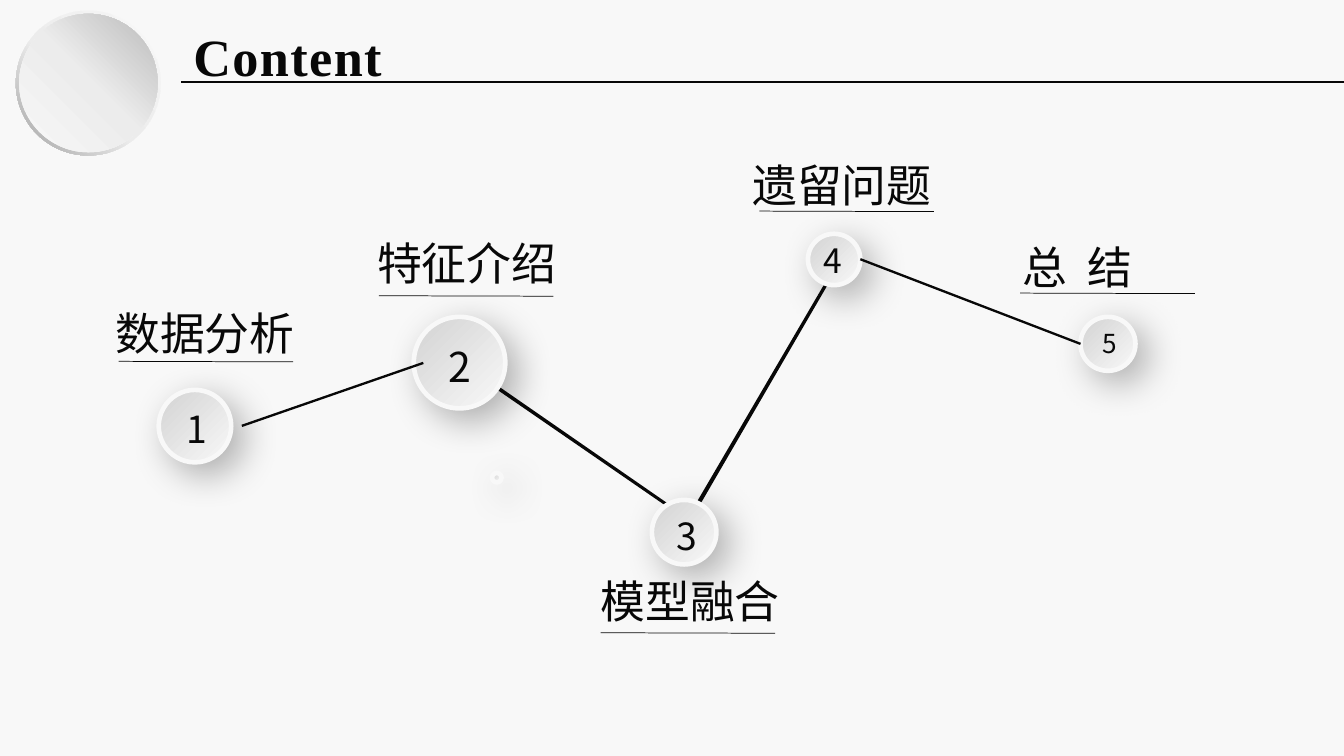
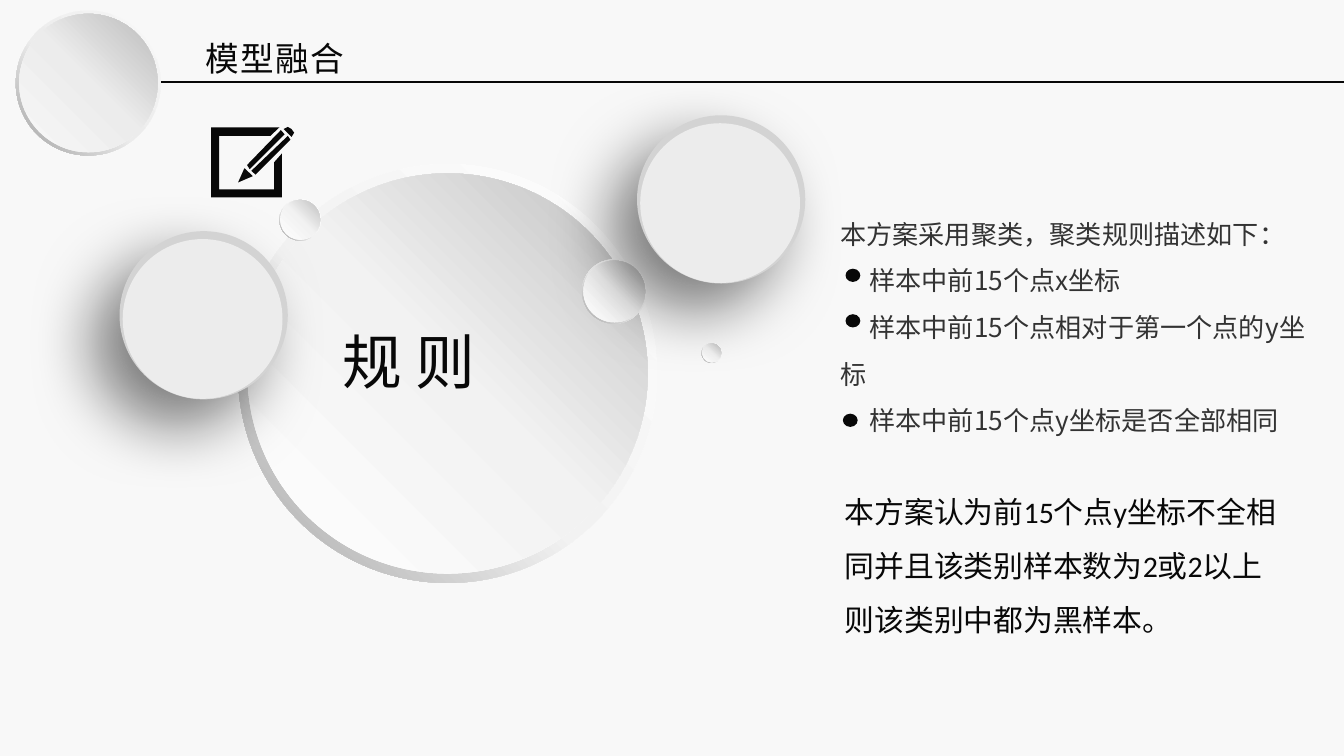
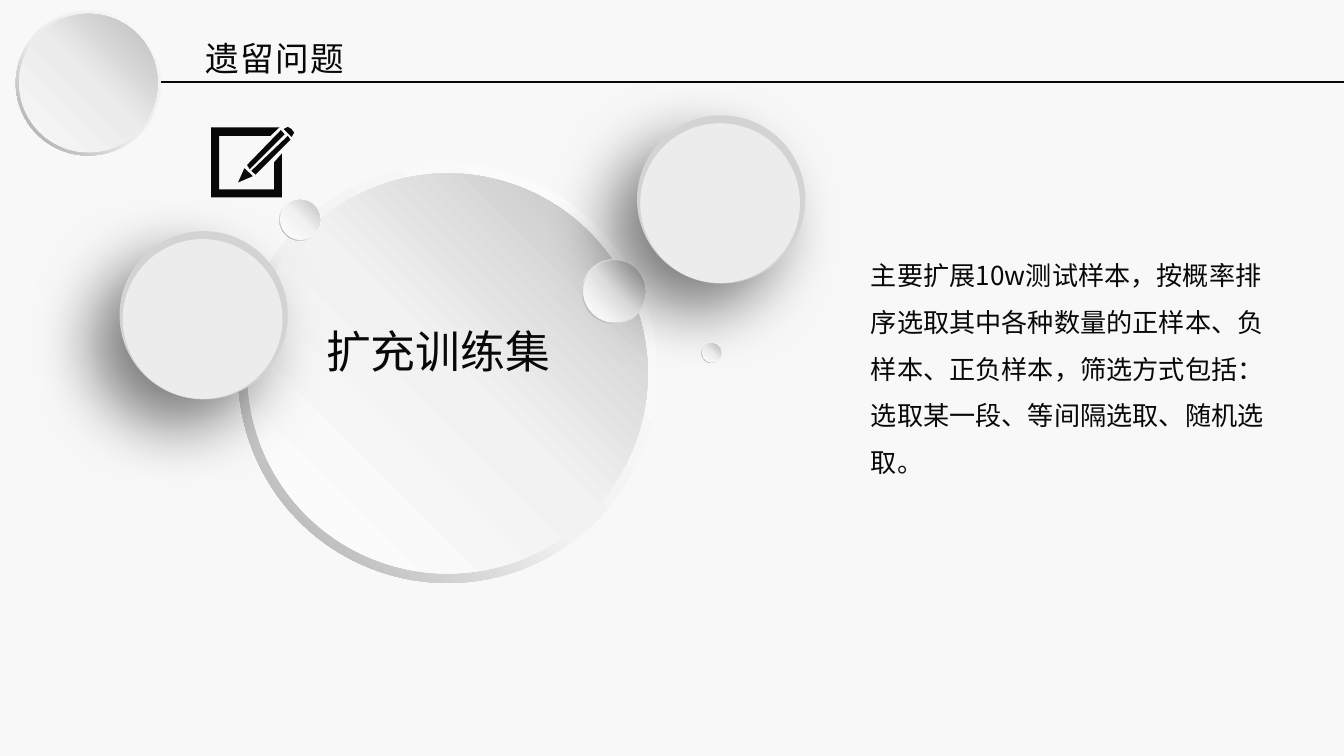
from dataclasses import dataclass
from typing import NamedTuple, Optional, Sequence

from lxml.etree import SubElement
from pptx import Presentation
from pptx.dml.color import RGBColor
from pptx.enum.shapes import MSO_CONNECTOR as Link, MSO_SHAPE as Preset
from pptx.enum.text import MSO_ANCHOR as Anchor, MSO_AUTO_SIZE as AutoSize, PP_ALIGN as Align
from pptx.oxml import parse_xml
from pptx.oxml.ns import nsdecls, qn
from pptx.util import Cm, Pt


# Theme: colours, fonts and type sizes
class TextStyle(NamedTuple):
    size: float
    latin: str = "Noto Sans CJK SC"
    asian: str = "Noto Sans CJK SC"
    color: str = "080808"
    bold: bool = False
    spacing: float = 0
    leading: Optional[float] = None


JP = "Noto Sans CJK JP"


@dataclass(frozen=True)
class Theme:
    paper: str = "F8F8F8"
    ink: str = "080808"
    plate_rim: str = "D3D3D3"
    plate_face: str = "ECECEC"
    node_fill: tuple = ((0, "D3D3D3"), (100, "F8F8F8"))
    header_rim: tuple = ((0, "F8F8F8"), (55, "ECECEC"), (100, "A1A1A1"))
    header_face: tuple = ((0, "F8F8F8"), (51, "ECECEC"), (100, "BABABA"))
    orb_rim: tuple = ((0, "FFFFFF"), (55, "F2F2F2"), (100, "A6A6A6"))
    orb_face: tuple = ((0, "FFFFFF"), (51, "F2F2F2"), (100, "BFBFBF"))
    cover_title: TextStyle = TextStyle(28, "Times New Roman", "Times New Roman", bold=True, spacing=0.8)
    title: TextStyle = TextStyle(18, JP, JP, spacing=0.8)
    label: TextStyle = TextStyle(24, JP, JP)
    wide_label: TextStyle = TextStyle(24, JP, JP, spacing=2.7)
    rules: TextStyle = TextStyle(14, color="333333", leading=25)
    body: TextStyle = TextStyle(14, leading=25)
    verdict: TextStyle = TextStyle(16, "Calibri", leading=29)


THEME = Theme()


class Box(NamedTuple):
    left: float
    top: float
    width: float
    height: float

    def lengths(self) -> list:
        return [Cm(value) for value in self]


class Shadow(NamedTuple):
    alpha: int
    blur: float
    distance: float
    angle: int


NODE_SHADOW = Shadow(30, 20, 8, 45)
PLATE_SHADOW = Shadow(50, 35, 20, 135)


@dataclass(frozen=True)
class Node:
    number: str
    circle: Box
    number_size: int
    number_box: Box
    label: str
    label_box: Box
    rule_start: tuple
    label_style: TextStyle = THEME.label


# Drawing helpers
def paint(shape, color: str) -> None:
    shape.shadow.inherit = False
    shape.fill.solid()
    shape.fill.fore_color.rgb = RGBColor.from_string(color)
    shape.line.fill.background()


def paint_gradient(shape, stops: Sequence, angle: int) -> None:
    paint(shape, THEME.paper)
    stop_xml = "".join(
        f'<a:gs pos="{pos * 1000}"><a:srgbClr val="{color}"/></a:gs>' for pos, color in stops)
    properties = shape._element.spPr
    properties.replace(properties.find(qn("a:solidFill")), parse_xml(
        f'<a:gradFill {nsdecls("a")} rotWithShape="1"><a:gsLst>{stop_xml}</a:gsLst>'
        f'<a:lin ang="{angle * 60000}" scaled="0"/></a:gradFill>'))


def cast_shadow(shape, shadow: Shadow) -> None:
    effects = shape._element.spPr.find(qn("a:effectLst"))
    effects.append(parse_xml(
        f'<a:outerShdw {nsdecls("a")} blurRad="{Pt(shadow.blur)}" dist="{Pt(shadow.distance)}" '
        f'dir="{shadow.angle * 60000}" algn="ctr" rotWithShape="0"><a:srgbClr val="000000">'
        f'<a:alpha val="{shadow.alpha * 1000}"/></a:srgbClr></a:outerShdw>'))


def add_ellipse(page, box: Box):
    return page.shapes.add_shape(Preset.OVAL, *box.lengths())


def add_outline(page, points: Sequence) -> None:
    corners = [(Cm(x), Cm(y)) for x, y in points]
    builder = page.shapes.build_freeform(*corners[0])
    builder.add_line_segments(corners[1:], close=True)
    paint(builder.convert_to_shape(), THEME.ink)


def add_line(page, start: tuple, end: tuple, weight: float) -> None:
    line = page.shapes.add_connector(Link.STRAIGHT, *(Cm(v) for v in (*start, *end)))
    line.line.color.rgb = RGBColor.from_string(THEME.ink)
    line.line.width = Pt(weight)
    SubElement(line._element.spPr, qn("a:effectLst"))


def write(shape, lines: Sequence[str], style: TextStyle, align=Align.LEFT,
          wrap: bool = True, indents: Sequence[float] = (0,)) -> None:
    frame = shape.text_frame
    frame.text = "\n".join(lines)
    frame.word_wrap = wrap
    frame.auto_size = AutoSize.NONE
    frame.vertical_anchor = Anchor.TOP
    for index, para in enumerate(frame.paragraphs):
        para.alignment = align
        para.line_spacing = Pt(style.leading or style.size * 1.3)
        para.space_before = Pt(0)
        font = para.font
        font.size = Pt(style.size)
        font.bold = style.bold
        font.name = style.latin
        font.color.rgb = RGBColor.from_string(style.color)
        SubElement(font._element, qn("a:ea")).set("typeface", style.asian)
        if style.spacing:
            font._element.set("spc", str(round(style.spacing * 100)))
        # Plain paragraphs: no bullet, only a first-line indent
        layout = para._p.get_or_add_pPr()
        layout.set("marL", "0")
        layout.set("indent", str(Cm(indents[min(index, len(indents) - 1)])))
        layout.find(qn("a:defRPr")).addprevious(parse_xml(f'<a:buNone {nsdecls("a")}/>'))


def add_text(page, box: Box, text: str, style: TextStyle, **options) -> None:
    write(page.shapes.add_textbox(*box.lengths()), [text], style, **options)


def place(shape, box: Box) -> None:
    shape.left, shape.top, shape.width, shape.height = box.lengths()


def add_orb(page, left: float, top: float, size: float, rim_stops=THEME.orb_rim,
            face_stops=THEME.orb_face):
    rim = page.shapes.add_shape(Preset.DONUT, *Box(left, top, size, size).lengths())
    rim.adjustments[0] = 0.049
    paint_gradient(rim, rim_stops, 135)
    inset, inner = size * 0.0225, size * 0.955
    face = add_ellipse(page, Box(left + inset, top + inset, inner, inner))
    paint_gradient(face, face_stops, 315)
    return face


def add_plate(page, left: float, top: float) -> None:
    rim = add_ellipse(page, Box(left, top, 3.18, 3.18))
    paint(rim, THEME.plate_rim)
    cast_shadow(rim, PLATE_SHADOW)
    paint(add_ellipse(page, Box(left + 0.06, top + 0.15, 3.02, 3.02)), THEME.plate_face)


def add_node_circle(page, box: Box) -> None:
    circle = add_ellipse(page, box)
    paint_gradient(circle, THEME.node_fill, 45)
    circle.line.color.rgb = RGBColor.from_string(THEME.paper)
    circle.line.width = Pt(2.5)
    cast_shadow(circle, NODE_SHADOW)


# Header shared by all slides
def add_page(deck, layout: int, title: str, style: TextStyle, title_box: Box, rule_left: float):
    page = deck.slides.add_slide(deck.slide_layouts[layout])
    place(page.shapes.title, title_box)
    write(page.shapes.title, [title], style)
    add_line(page, (rule_left, 1.55), (25.4, 1.55), 0.75)
    add_orb(page, 0.3, 0.2, 2.74, THEME.header_rim, THEME.header_face)
    return page


# Contents slide
NODES = (
    Node("1", Box(3, 7.37, 1.37, 1.37), 20, Box(3.25, 7.49, 0.94, 1.12),
         "数据分析", Box(1.93, 5.56, 4.95, 1.27), (2.24, 6.83)),
    Node("2", Box(7.82, 5.99, 1.73, 1.73), 22, Box(8.2, 6.25, 0.97, 1.19),
         "特征介绍", Box(6.88, 4.24, 4.57, 1.27), (7.16, 5.59)),
    Node("3", Box(12.32, 9.45, 1.22, 1.22), 20, Box(12.52, 9.5, 0.94, 1.12),
         "模型融合", Box(11.1, 10.64, 3.89, 1.27), (11.35, 11.96)),
    Node("4", Box(15.27, 4.42, 0.99, 0.97), 18, Box(15.29, 4.34, 0.89, 1.02),
         "遗留问题", Box(13.97, 2.77, 4.37, 1.27), (14.35, 3.99)),
    Node("5", Box(20.42, 5.99, 1.04, 1.02), 14, Box(20.57, 6.02, 0.81, 0.86),
         "总 结", Box(19.08, 4.32, 3.76, 1.27), (19.28, 5.54), THEME.wide_label),
)
THICK_LINKS = (
    ((12.93, 9.8), (8.66, 6.86), (8.74, 6.83), (13, 9.78)),
    ((13.08, 9.8), (13, 9.78), (15.75, 5.08), (15.82, 5.08)),
)
THIN_LINKS = (((4.57, 8.05), (8, 6.86)), ((16.26, 4.9), (20.42, 6.5)))
RULE_LENGTH = 3.3


def add_contents(deck) -> None:
    page = add_page(deck, 5, "Content", THEME.cover_title, Box(3.4, 0.23, 15.21, 2.31), 3.43)
    for points in THICK_LINKS:
        add_outline(page, points)
    add_node_circle(page, Box(9.3, 8.94, 0.18, 0.18))
    for node in NODES:
        add_node_circle(page, node.circle)
        add_text(page, node.number_box, node.number, TextStyle(node.number_size),
                 align=Align.CENTER, wrap=False)
        add_text(page, node.label_box, node.label, node.label_style)
        x, y = node.rule_start
        add_line(page, (x, y), (x + RULE_LENGTH, y + 0.01), 0.4)
    for start, end in THIN_LINKS:
        add_line(page, start, end, 1.25)


# Topic slides: cluster of discs, pen icon and a text column
PEN_ICON = (
    ((4.78, 3.33), (4.62, 3.18), (4.5, 3.45)),
    ((5.31, 2.46), (4.67, 3.12), (4.72, 3.2), (5.38, 2.54)),
    ((4.75, 3.23), (4.83, 3.3), (5.49, 2.64), (5.44, 2.57)),
    ((5.36, 2.44), (5.44, 2.4), (5.51, 2.44), (5.56, 2.51), (5.51, 2.59)),
    ((5.18, 3.58), (4.14, 3.58), (4.14, 2.57), (5.11, 2.57), (5.28, 2.41), (3.99, 2.41),
     (3.99, 3.73), (5.33, 3.73), (5.33, 2.9), (5.18, 3.07)),
)


def add_topic(deck, title: str, keyword: str, keyword_size: int, keyword_inset: float,
              lines: Sequence[str], style: TextStyle, body_box: Box,
              indents: Sequence[float] = (0,)):
    page = add_page(deck, 1, title, THEME.title, Box(3.63, 0.53, 17.6, 1.8), 2.69)

    hub = add_orb(page, 4.5, 3.1, 7.92)
    write(hub, [keyword], TextStyle(keyword_size))
    hub.text_frame.margin_left = Cm(keyword_inset)
    hub.text_frame.margin_top = Cm(1.65)
    add_orb(page, 5.28, 3.76, 0.79)
    for points in PEN_ICON:
        add_outline(page, points)
    add_plate(page, 2.26, 4.37)
    add_orb(page, 11, 4.9, 1.22)
    add_orb(page, 13.26, 6.48, 0.38)
    add_plate(page, 12.04, 2.18)

    body = page.placeholders[1]
    place(body, body_box)
    write(body, lines, style, indents=indents)
    frame = body.text_frame
    frame.margin_left = frame.margin_right = Cm(0.18)
    frame.margin_top = frame.margin_bottom = Cm(0.1)
    return page


def add_rules(deck) -> None:
    page = add_topic(
        deck, "模型融合", "规 则", 32, 0.69,
        ["本方案采用聚类，聚类规则描述如下：",
         "样本中前15个点x坐标",
         "样本中前15个点相对于第一个点的y坐标",
         "样本中前15个点y坐标是否全部相同"],
        THEME.rules, Box(15.7, 3.73, 9.25, 5.56), indents=(0, 0.55))
    for left, top in ((15.98, 5.08), (15.98, 5.94), (15.93, 7.82)):
        paint(add_ellipse(page, Box(left, top, 0.28, 0.25)), THEME.ink)
    add_text(page, Box(15.72, 8.86, 8.92, 4.09),
             "本方案认为前15个点y坐标不全相同并且该类别样本数为2或2以上则该类别中都为黑样本。",
             THEME.verdict)


def add_open_issues(deck) -> None:
    add_topic(
        deck, "遗留问题", "扩充训练集", 24, 0.38,
        ["主要扩展10w测试样本，按概率排序选取其中各种数量的正样本、负样本、正负样本，筛选方式包括：",
         "选取某一段、等间隔选取、随机选取。"],
        THEME.body, Box(16.28, 4.52, 7.8, 5.56))


def main() -> None:
    deck = Presentation()
    deck.slide_width, deck.slide_height = Cm(25.4), Cm(14.29)
    backdrop = deck.slide_master.background.fill
    backdrop.solid()
    backdrop.fore_color.rgb = RGBColor.from_string(THEME.paper)
    add_contents(deck)
    add_rules(deck)
    add_open_issues(deck)
    deck.save("out.pptx")


if __name__ == "__main__":
    main()
